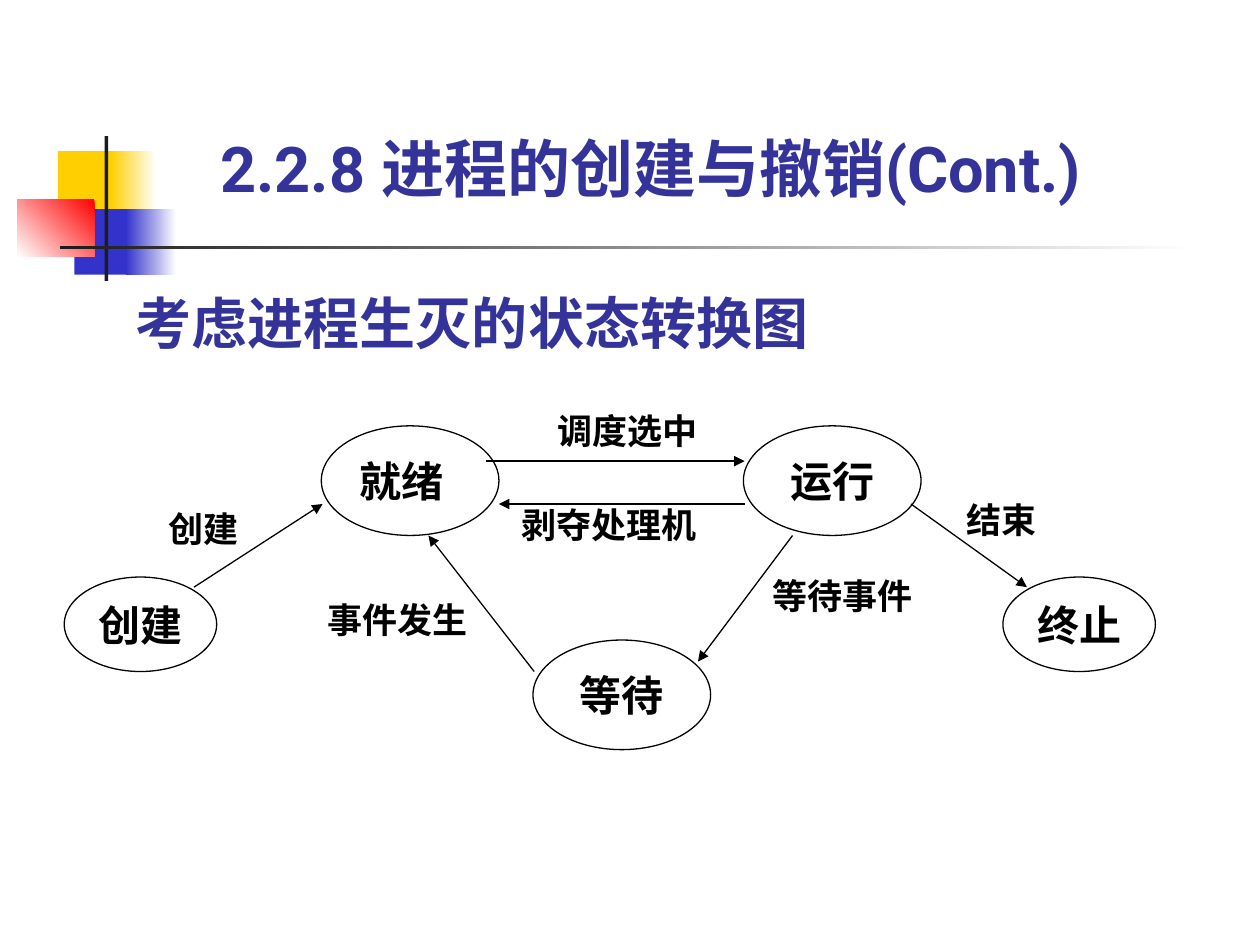
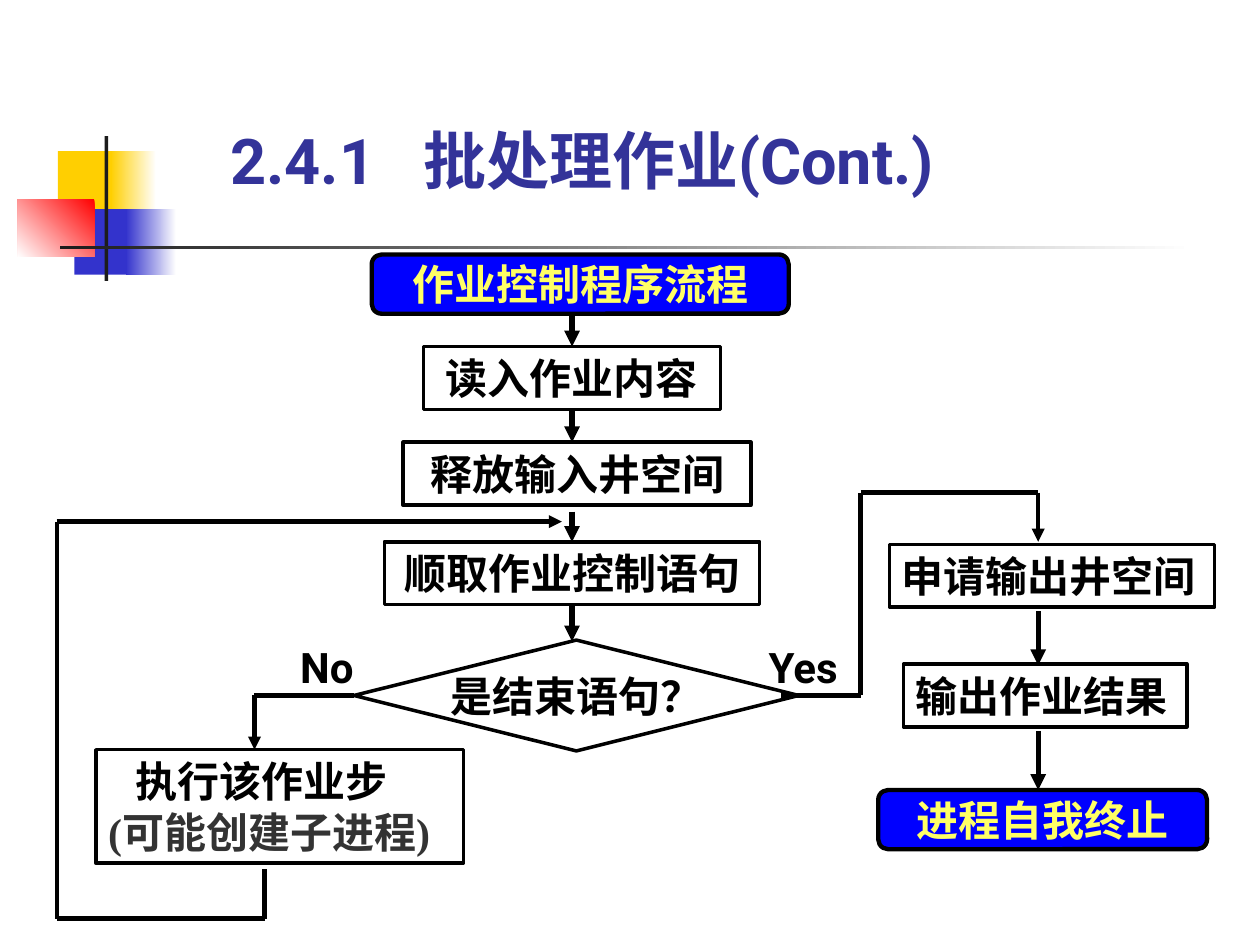
import pptx
import pptx.dml.color
import pptx.enum.shapes
import pptx.enum.text
import pptx.oxml.ns
import pptx.util
from lxml import etree

Inches = pptx.util.Inches
Form = pptx.enum.shapes.MSO_SHAPE
Align = pptx.enum.text.PP_ALIGN
Anchor = pptx.enum.text.MSO_ANCHOR
qn = pptx.oxml.ns.qn

BLACK, WHITE, NAVY = "000000", "FFFFFF", "333399"
GOLD, BLUE, RED, DARK = "FFCF01", "3333CC", "FF0000", "1C1C1C"
BRIGHT, YELLOW, GREY = "0000FF", "FFFF66", "333333"
SANS, SERIF = "Roboto", "Times New Roman"


def rgb(code):
    return pptx.dml.color.RGBColor.from_string(code)


def shift(box, nums):
    return [Inches(n + box[i % 2]) if i < 2 else Inches(n) for i, n in enumerate(nums)]


def write(shape, text, size=24, face=SANS, color=BLACK, align=Align.CENTER,
          anchor=Anchor.TOP, wrap=True, inset=(0.1, 0.05), indent=0, tab=0):
    frame = shape.text_frame
    frame.word_wrap = wrap
    frame.vertical_anchor = anchor
    frame.margin_left = frame.margin_right = Inches(inset[0])
    frame.margin_top = frame.margin_bottom = Inches(inset[1])
    para = frame.add_paragraph() if frame.text else frame.paragraphs[0]
    para.alignment = align
    props = para._p.get_or_add_pPr()
    if indent:
        props.set("indent", str(Inches(indent)))
    if tab:
        stops = etree.SubElement(props, qn("a:tabLst"))
        etree.SubElement(stops, qn("a:tab"), pos=str(Inches(tab)), algn="l")
    run = para.add_run()
    run.text = text
    font = run.font
    font.size, font.name, font.bold = pptx.util.Pt(size), face, True
    font.color.rgb = rgb(color)


def draw(slide, box, nums, form=Form.RECTANGLE, fill=None, line=0, blend=None):
    shape = slide.shapes.add_shape(form, *shift(box, nums))
    shape.shadow.inherit = False
    if blend:
        start, end, angle = blend
        shape.fill.gradient()
        shape.fill.gradient_angle = angle
        for stop, color in zip(shape.fill.gradient_stops, (start, end)):
            stop.color.rgb = rgb(color)
    elif fill:
        shape.fill.solid()
        shape.fill.fore_color.rgb = rgb(fill)
    else:
        shape.fill.background()
    if line:
        shape.line.color.rgb = rgb(BLACK)
        shape.line.width = pptx.util.Pt(line)
    else:
        shape.line.fill.background()
    return shape


def link(slide, box, start, end, width=2.5, arrow=False, source=None, target=None):
    line = slide.shapes.add_connector(pptx.enum.shapes.MSO_CONNECTOR.STRAIGHT,
                                      *shift(box, start), *shift(box, end))
    if source:
        line.begin_connect(*source)
    if target:
        line.end_connect(*target)
    line.line.color.rgb = rgb(BLACK)
    line.line.width = pptx.util.Pt(width)
    if arrow:
        etree.SubElement(line.line._get_or_add_ln(), qn("a:tailEnd"), type="triangle")
    etree.SubElement(line._element.spPr, qn("a:effectLst"))


def route(slide, box, points, arrow=True, source=None):
    last = len(points) - 2
    for i, (start, end) in enumerate(zip(points, points[1:])):
        link(slide, box, start, end, arrow=arrow and i == last,
             source=source if i == 0 else None)


def label(slide, box, nums, text, **style):
    write(slide.shapes.add_textbox(*shift(box, nums)), text, **style)


def frame(slide, box):
    draw(slide, box, (0.32, 0.12, 0.48, 0.52), fill=GOLD)
    draw(slide, box, (0.74, 0.12, 0.36, 0.52), blend=(WHITE, GOLD, 180))
    draw(slide, box, (0.45, 0.58, 0.46, 0.52), fill=BLUE)
    draw(slide, box, (0.86, 0.58, 0.4, 0.52), blend=(WHITE, BLUE, 180))
    draw(slide, box, (0, 0.5, 0.61, 0.46), blend=(RED, WHITE, 225))
    draw(slide, box, (0.69, 0, 0.03, 1.15), fill=DARK)
    draw(slide, box, (0.34, 0.87, 9, 0.03), blend=(WHITE, DARK, 180))


def title(slide, box, text, size=36, tab=0):
    label(slide, box[:2], (0, 0, *box[2:]), text, size=size, color=NAVY,
          align=Align.LEFT, anchor=Anchor.BOTTOM, tab=tab)


def states(slide, box):
    left, mid, pad, none = Align.LEFT, Align.CENTER, (0.1, 0.05), (0, 0)
    for text, nums, align, inset in (
            ("结束", (7.06, 0.71, 1.09, 0.44), left, pad),
            ("创建", (0.73, 0.78, 1.12, 0.44), left, pad),
            ("事件发生", (2.09, 1.55, 1.28, 0.33), left, none),
            ("剥夺处理机", (3.53, 0.75, 1.86, 0.44), left, pad),
            ("调度选中", (3.54, 0, 1.86, 0.44), mid, pad),
            ("等待事件", (5.62, 1.36, 1.49, 0.33), left, none)):
        write(draw(slide, box, nums, fill=WHITE), text, size=20, face=SERIF,
              align=align, inset=inset)
    big, small = (1.41, 0.87), (1.21, 0.75)
    for text, spot, size, align in (
            ("就绪", (2.04, 0.18), big, left), ("等待", (3.72, 1.88), big, mid),
            ("运行", (5.39, 0.18), big, mid), ("创建", (0, 1.38), small, mid),
            ("终止", (7.45, 1.38), small, mid)):
        oval = draw(slide, box, spot + size, Form.OVAL, WHITE, 0.75)
        write(oval, text, face=SERIF, align=align, anchor=Anchor.MIDDLE, wrap=False)
    for start, end in (((3.35, 0.46), (5.4, 0.46)), ((5.78, 1.05), (5.03, 2.05)),
                       ((3.73, 2.13), (2.89, 1.05)), ((5.4, 0.8), (3.45, 0.8)),
                       ((1.03, 1.46), (2.05, 0.8)), ((6.72, 0.8), (7.64, 1.46))):
        link(slide, box, start, end, 0.75, True)


def pill(slide, box, nums, text):
    shape = draw(slide, box, nums, Form.ROUNDED_RECTANGLE, BRIGHT, 2.5)
    write(shape, text, color=YELLOW, anchor=Anchor.MIDDLE, wrap=False)


def step(slide, box, nums, text, **style):
    shape = draw(slide, box, nums, line=2)
    write(shape, text, **style)
    return shape


def control(slide, box):
    pill(slide, box, (0.14, 0, 3.31, 0.47), "作业控制程序流程")
    read = step(slide, box, (0.55, 0.73, 2.36, 0.5), "读入作业内容")
    step(slide, box, (0.39, 1.49, 2.76, 0.5), "释放输入井空间")
    fetch = step(slide, box, (0.24, 2.28, 2.98, 0.5), "顺取作业控制语句")
    test = draw(slide, box, (0, 3.06, 3.53, 0.88), Form.DIAMOND, line=2)
    write(test, "是结束语句？", anchor=Anchor.MIDDLE, wrap=False)
    axis = 1.73
    for top, end, source, target in (
            (0.47, 0.71, None, (read, 0)), (1.26, 1.49, (read, 2), None),
            (2.04, 2.28, None, (fetch, 0)), (2.83, 3.07, (fetch, 2), None)):
        link(slide, box, (axis, top), (axis, end), 3, True, source, target)
    for text, x in (("No", -0.65), ("Yes", 3.13)):
        label(slide, box, (x, 3.07, 0.87, 0.4), text, inset=(0, 0))
    return test


def loop(slide, box, test):
    style = dict(face=SERIF, align=Align.LEFT)
    work = step(slide, box, (0.31, 1.81, 2.92, 0.9), "执行该作业步", indent=0.22, **style)
    write(work, "(可能创建子进程)", color=GREY, **style)
    route(slide, box, [(2.34, 1.38), (1.57, 1.38), (1.57, 1.81)], source=(test, 1))
    link(slide, box, (1.65, 2.76), (1.65, 3.15), 3)
    route(slide, box, [(1.65, 3.15), (0, 3.15), (0, 0), (4.01, 0)])


def output(slide, box):
    style = dict(face=SERIF, align=Align.LEFT)
    step(slide, box, (0.86, 0.41, 2.58, 0.5), "申请输出井空间", **style)
    step(slide, box, (0.97, 1.36, 2.25, 0.5), "输出作业结果", **style)
    pill(slide, box, (0.77, 2.36, 2.61, 0.47), "进程自我终止")
    axis = 2.04
    route(slide, box, [(0, 1.61), (0.63, 1.61), (0.63, 0), (axis, 0), (axis, 0.39)])
    for top, end in ((0.94, 1.37), (1.89, 2.36)):
        link(slide, box, (axis, top), (axis, end), 3, True)


def main():
    deck = pptx.Presentation()
    deck.slide_width, deck.slide_height = Inches(10), Inches(7.5)
    life, batch = [deck.slides.add_slide(deck.slide_layouts[6]) for _ in range(2)]
    for slide in (life, batch):
        frame(slide, (0.14, 1.08))
    title(life, (1.65, 0.91, 7.44, 0.77), "2.2.8 进程的创建与撤销(Cont.)")
    title(life, (0.98, 2.25, 5.75, 0.62), "考虑进程生灭的状态转换图", 32)
    states(life, (0.51, 3.2))
    title(batch, (1.73, 0.84, 6.26, 0.77), "2.4.1\t批处理作业(Cont.)", tab=1.53)
    test = control(batch, (2.81, 2.02))
    loop(batch, (0.45, 4.14), test)
    output(batch, (6.2, 3.91))
    deck.save("out.pptx")


if __name__ == "__main__":
    main()
